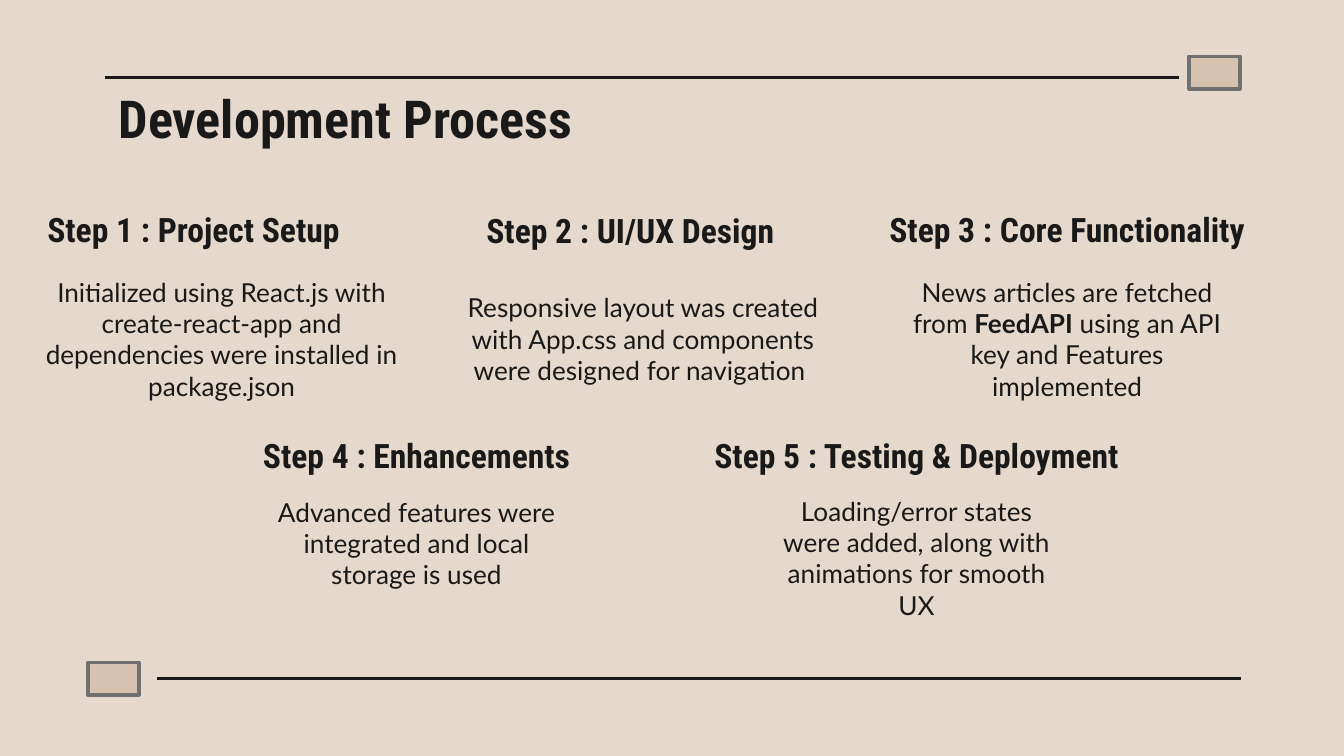
from dataclasses import dataclass

from pptx import Presentation
from pptx.dml.color import RGBColor as Rgb
from pptx.enum.shapes import MSO_CONNECTOR as Connector, MSO_SHAPE as Preset
from pptx.enum.text import MSO_ANCHOR as Anchor, PP_ALIGN as Align
from pptx.oxml.ns import qn
from pptx.util import Inches, Pt


@dataclass(frozen=True)
class Theme:
    paper: Rgb = Rgb.from_string("E5D8CC")
    ink: Rgb = Rgb.from_string("191919")
    tan: Rgb = Rgb.from_string("D6C2AF")
    gray: Rgb = Rgb.from_string("707070")
    heading_font: str = "Roboto Condensed"
    body_font: str = "Lato"
    title_size: float = 28
    step_size: float = 18
    body_size: float = 14
    rule_width: float = 1.5
    frame_width: float = 2


class Board:
    COLUMNS, ROWS = 100, 56.25

    def __init__(self, deck, theme):
        self.theme = theme
        self.column = deck.slide_width / self.COLUMNS
        self.row = deck.slide_height / self.ROWS
        self.slide = deck.slides.add_slide(deck.slide_layouts[6])
        self.slide.background.fill.solid()
        self.slide.background.fill.fore_color.rgb = theme.paper

    def place(self, left, top, width, height):
        return (round(left * self.column), round(top * self.row),
                round(width * self.column), round(height * self.row))

    def rule(self, start, end, row):
        x1, y, x2, _ = self.place(start, row, end, 0)
        rule = self.slide.shapes.add_connector(Connector.STRAIGHT, x1, y, x2, y)
        rule.line.color.rgb = self.theme.ink
        rule.line.width = Pt(self.theme.rule_width)
        properties = rule._element.spPr
        properties.append(properties.makeelement(qn("a:effectLst"), {}))

    def frame(self, left, top):
        frame = self.slide.shapes.add_shape(
            Preset.RECTANGLE, *self.place(left, top, 3.8, 2.4))
        frame.shadow.inherit = False
        frame.fill.solid()
        frame.fill.fore_color.rgb = self.theme.tan
        frame.line.color.rgb = self.theme.gray
        frame.line.width = Pt(self.theme.frame_width)

    def text(self, area, pieces, font, size, align=Align.CENTER, bold=False):
        box = self.slide.shapes.add_textbox(*self.place(*area)).text_frame
        box.word_wrap = True
        box.vertical_anchor = Anchor.MIDDLE
        box.margin_left = box.margin_right = Inches(0.1)
        box.margin_top = box.margin_bottom = Inches(0.1)
        paragraph = box.paragraphs[0]
        paragraph.alignment = align
        paragraph.font.name = font
        paragraph.font.size = Pt(size)
        paragraph.font.color.rgb = self.theme.ink
        paragraph.font.bold = bold
        for index, piece in enumerate(pieces):
            run = paragraph.add_run()
            run.text = piece
            if index % 2:
                run.font.bold = True

    def title(self, words):
        self.text((7.85, 6.95, 84.3, 3.6), [words], self.theme.heading_font,
                  self.theme.title_size, Align.LEFT, True)

    def step(self, number, name, heading, body, pieces):
        left, top, width = heading
        self.text((left, top, width, 3.1), [f"Step {number} : {name}"],
                  self.theme.heading_font, self.theme.step_size, bold=True)
        left, top, width = body
        self.text((left, top, width, 9.2), pieces,
                  self.theme.body_font, self.theme.body_size)


STEPS = [
    ("Project Setup", (1.5, 15.5, 25.8), (1.5, 20.6, 30),
     ["Initialized using React.js with create-react-app and "
      "dependencies were installed in package.json"]),
    ("UI/UX Design", (34, 15.55, 25.8), (33.35, 20.6, 29),
     ["Responsive layout was created with App.css and components "
      "were designed for navigation "]),
    ("Core Functionality", (64.65, 15.5, 29.5), (66.35, 20.6, 26.1),
     ["News articles are fetched from ", "FeedAPI",
      " using an API key and Features implemented"]),
    ("Enhancements", (17.8, 32.3, 26.4), (19.65, 35.8, 22.7),
     ["Advanced features were integrated and local storage is used"]),
    ("Testing & Deployment", (50, 32.3, 36.4), (56.85, 36.9, 22.7),
     ["Loading/error states were added, along with animations "
      "for smooth UX"]),
]


def main():
    deck = Presentation()
    deck.slide_width = Inches(10)
    deck.slide_height = deck.slide_width * 9 // 16
    board = Board(deck, Theme())
    board.rule(7.8, 87.7, 5.75)
    board.rule(11.7, 92.3, 50.5)
    board.title("Development Process")
    for number, step in enumerate(STEPS, 1):
        board.step(number, *step)
    board.frame(6.55, 49.3)
    board.frame(88.45, 4.2)
    deck.save("out.pptx")


if __name__ == "__main__":
    main()
